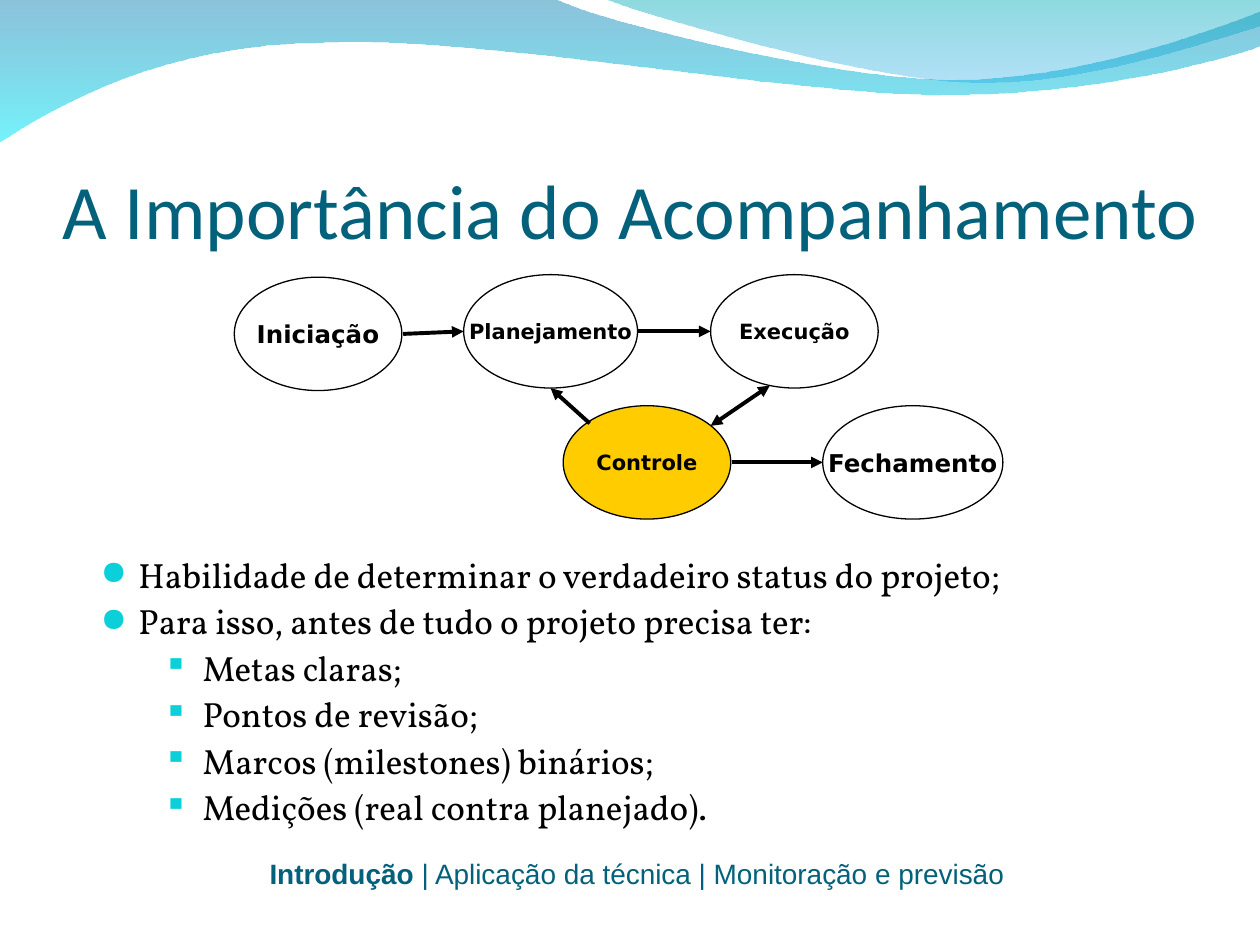
import pptx
import pptx.dml.color
import pptx.enum.shapes
import pptx.enum.text
import pptx.oxml.ns
import pptx.util
from lxml import etree

RGB = pptx.dml.color.RGBColor
BLACK = RGB(0x00, 0x00, 0x00)
GOLD = RGB(0xFF, 0xCC, 0x00)
TEAL = RGB(0x04, 0x61, 0x7B)
CYAN = RGB(0x0B, 0xD0, 0xD9)
BLUE = RGB(0x00, 0x79, 0xAF)
AQUA = RGB(0x00, 0xEB, 0xF8)
GREEN = RGB(0x00, 0xAD, 0xB6)
SKY = RGB(0x00, 0x9B, 0xE5)

COLS, ROWS = 100, 75
ALIGN = pptx.enum.text.PP_ALIGN
ANCHOR = pptx.enum.text.MSO_ANCHOR
SHAPE = pptx.enum.shapes.MSO_SHAPE
LINE = pptx.enum.shapes.MSO_CONNECTOR.STRAIGHT


def add_tag(parent, name, **attrs):
    return etree.SubElement(parent, pptx.oxml.ns.qn(name), attrs)


def bend(shape, pieces):
    """Turn each run of three line segments that forms a piece into a curve."""
    lines = iter(list(shape.element.iter(pptx.oxml.ns.qn("a:lnTo"))))
    for piece in pieces:
        group = [next(lines) for _ in piece]
        if len(group) == 3:
            arc = etree.Element(pptx.oxml.ns.qn("a:cubicBezTo"))
            group[0].addprevious(arc)
            for line in group:
                arc.append(line[0])
                line.getparent().remove(line)


class Deck:
    """Style and current slide; lengths are cells of a 100 by 75 grid."""

    def __init__(self):
        self.file = pptx.Presentation()
        self.file.slide_width = pptx.util.Inches(10)
        self.file.slide_height = pptx.util.Inches(7.5)
        self.slide = self.file.slides.add_slide(self.file.slide_layouts[6])
        self.shapes = self.slide.shapes

    def x(self, col):
        return round(self.file.slide_width * col / COLS)

    def y(self, row):
        return round(self.file.slide_height * row / ROWS)

    def area(self, left, top, width, height):
        return self.x(left), self.y(top), self.x(width), self.y(height)

    def run(self, para, text, size, font, color, bold=False):
        run = para.add_run()
        run.text = text
        run.font.size = pptx.util.Pt(size)
        run.font.name = font
        run.font.color.rgb = color
        run.font.bold = bold

    def wave(self, start, pieces, stops):
        """A filled outline; a piece holds one point (line) or three (curve)."""
        pen = self.shapes.build_freeform(self.x(start[0]), self.y(start[1]))
        spots = [(self.x(col), self.y(row)) for piece in pieces for col, row in piece]
        pen.add_line_segments(spots, close=True)
        shape = pen.convert_to_shape()
        bend(shape, pieces)
        shape.shadow.inherit = False
        shape.line.fill.background()
        shape.fill.gradient()
        shape.fill.gradient_angle = 270
        for stop, (color, _) in zip(shape.fill.gradient_stops, stops):
            stop.color.rgb = color
        tints = shape.element.spPr.iter(pptx.oxml.ns.qn("a:srgbClr"))
        for tint, (_, alpha) in zip(tints, stops):
            add_tag(tint, "a:alpha", val=str(alpha * 1000))

    def text(self, area):
        frame = self.shapes.add_textbox(*self.area(*area)).text_frame
        frame.word_wrap = True
        return frame

    def title(self, text, area):
        frame = self.text(area)
        frame.vertical_anchor = ANCHOR.BOTTOM
        frame.margin_left = frame.margin_right = frame.margin_bottom = 0
        self.run(frame.paragraphs[0], text, 44, "Calibri", TEAL)

    def trail(self, parts, area):
        para = self.text(area).paragraphs[0]
        para.alignment = ALIGN.CENTER
        for text, bold in parts:
            self.run(para, text, 16, "Arial", TEAL, bold)

    def oval(self, text, size, area, fill=None):
        shape = self.shapes.add_shape(SHAPE.OVAL, *self.area(*area))
        shape.shadow.inherit = False
        if fill is None:
            shape.fill.background()
        else:
            shape.fill.solid()
            shape.fill.fore_color.rgb = fill
        shape.line.color.rgb = BLACK
        shape.line.width = pptx.util.Pt(0.75)
        frame = shape.text_frame
        frame.word_wrap = False
        frame.vertical_anchor = ANCHOR.MIDDLE
        frame.paragraphs[0].alignment = ALIGN.CENTER
        self.run(frame.paragraphs[0], text, size, "DejaVu Sans", BLACK, True)

    def arrow(self, start, end, both=False):
        line = self.shapes.add_connector(
            LINE, self.x(start[0]), self.y(start[1]), self.x(end[0]), self.y(end[1]))
        line.line.color.rgb = BLACK
        line.line.width = pptx.util.Pt(2.25)
        stroke = line.line._get_or_add_ln()
        if both:
            add_tag(stroke, "a:headEnd", type="triangle")
        add_tag(stroke, "a:tailEnd", type="triangle")
        add_tag(line.element.spPr, "a:effectLst")

    def bullets(self, items, area):
        frame = self.text(area)
        marks = (("●", 0.3, 0.3), ("▪", 0.81, 0.31))
        for i, (level, text) in enumerate(items):
            para = frame.add_paragraph() if i else frame.paragraphs[0]
            mark, left, hang = marks[level]
            para.level = level
            para.line_spacing = 0.9
            if i:
                para.space_before = pptx.util.Pt(5)
            props = para._p.get_or_add_pPr()
            props.set("marL", str(pptx.util.Inches(left)))
            props.set("indent", str(-pptx.util.Inches(hang)))
            add_tag(add_tag(props, "a:buClr"), "a:srgbClr", val=str(CYAN))
            add_tag(props, "a:buSzPct", val="95000")
            add_tag(props, "a:buFont", typeface="OpenSymbol")
            add_tag(props, "a:buChar", char=mark)
            self.run(para, text, 20, "Vollkorn", BLACK)


def main():
    deck = Deck()
    deck.wave((0, -0.1), [
        [(44, -0.1)],
        [(47.6, 1.7), (66.4, 6.3), (75.8, 6.3)],
        [(85.3, 6.3), (95.8, 2.6), (100, 0.9)],
        [(100.1, 3.6)],
        [(98.3, 4.4), (87, 7.6), (74.6, 7.5)],
        [(62.2, 7.5), (38.2, 2.8), (25.7, 3.4)],
        [(12.9, 3.5), (4.6, 8.3), (-0.1, 11.3)],
    ], [(BLUE, 45), (AQUA, 55)])
    deck.wave((47.9, -0.1), [
        [(50.9, 1.1), (68.2, 6.2), (76.9, 6.5)],
        [(85.6, 6.9), (96.1, 3.2), (100, 2.1)],
        [(100, 0)],
    ], [(GREEN, 45), (SKY, 30)])

    deck.trail([
        ("Introdução", True),
        (" | Aplicação da técnica | Monitoração e previsão", False),
    ], (18.9, 67.5, 63.3, 3.7))

    deck.oval("Fechamento", 14, (65.3, 32.2, 14.3, 9))
    deck.oval("Controle", 12, (44.7, 32.2, 13.3, 9), GOLD)
    deck.oval("Execução", 12, (56.4, 21.8, 13.3, 9))
    deck.oval("Planejamento", 12, (36.8, 21.8, 13.8, 9))
    deck.oval("Iniciação", 14, (18.6, 22, 13.3, 9))

    deck.arrow((32, 26.5), (36.8, 26.3))
    deck.arrow((50.6, 26.3), (56.4, 26.3))
    deck.arrow((61.1, 30.6), (56.4, 33.8), both=True)
    deck.arrow((58.1, 36.7), (65.3, 36.7))
    deck.arrow((46.8, 33.6), (43.7, 30.8))

    deck.bullets([
        (0, "Habilidade de determinar o verdadeiro status do projeto;"),
        (0, "Para isso, antes de tudo o projeto precisa ter:"),
        (1, "Metas claras;"),
        (1, "Pontos de revisão;"),
        (1, "Marcos (milestones) binários;"),
        (1, "Medições (real contra planejado)."),
    ], (7, 43.8, 87.5, 22.7))

    deck.title("A Importância do Acompanhamento", (5, 7.7, 92.4, 12.5))
    deck.file.save("out.pptx")


if __name__ == "__main__":
    main()
